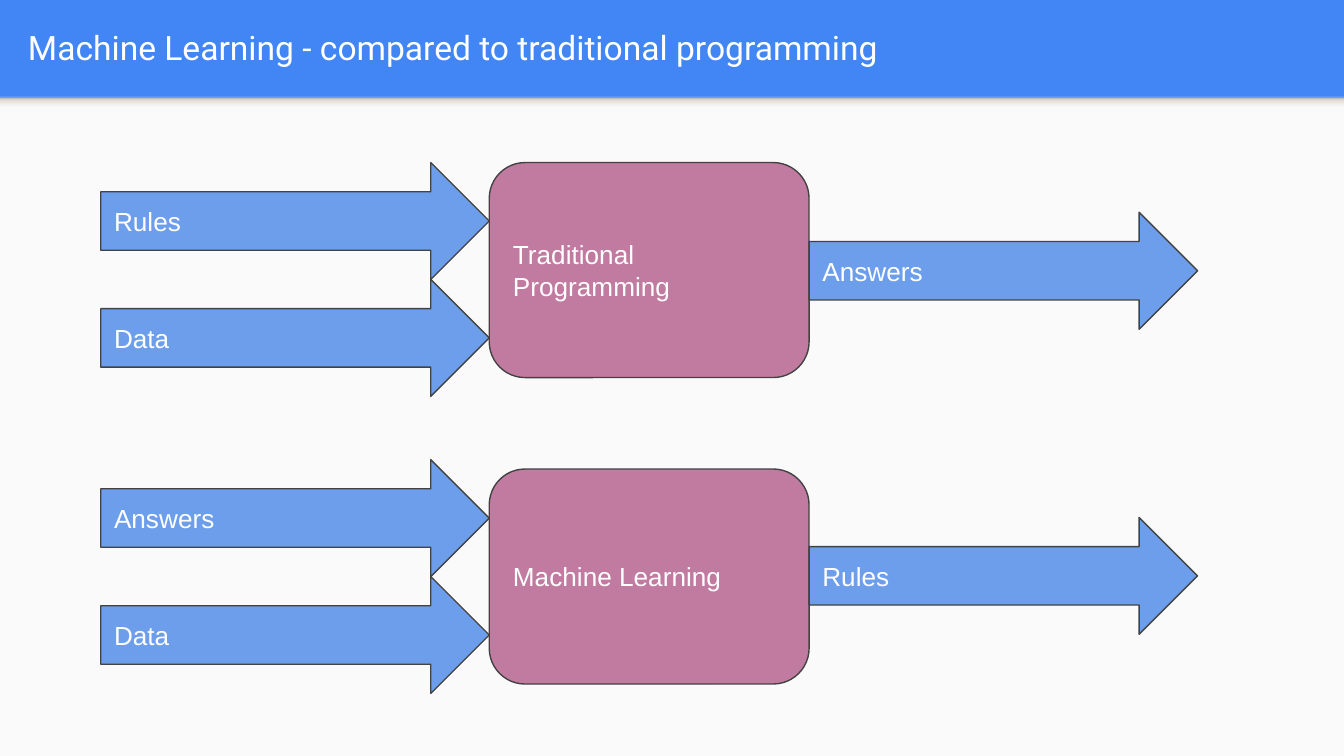
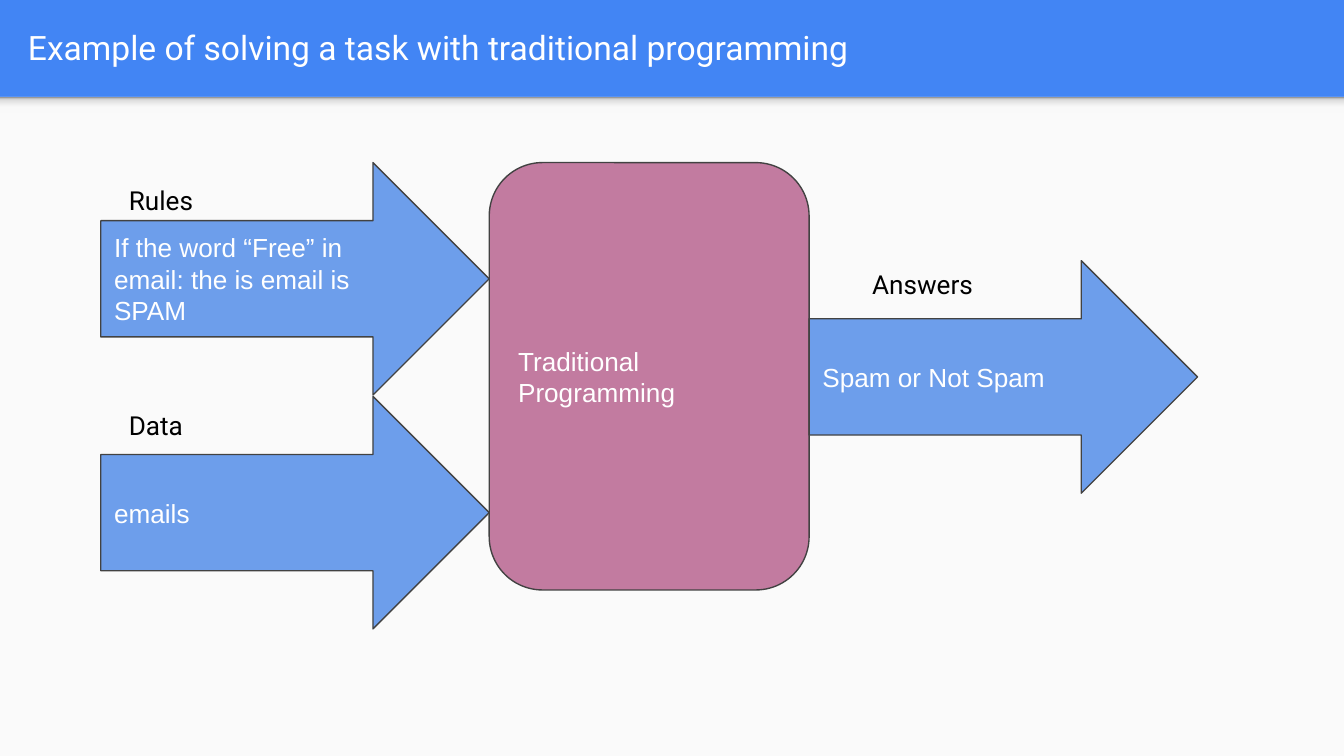
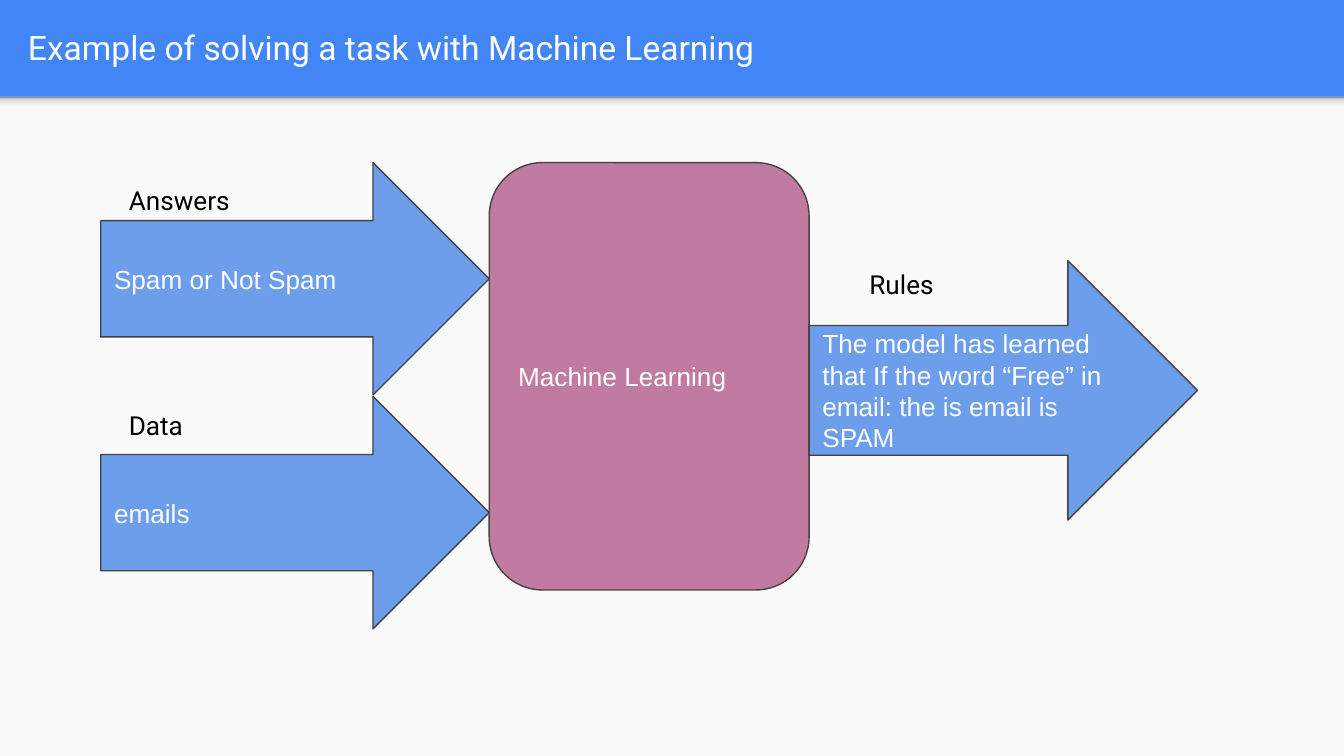
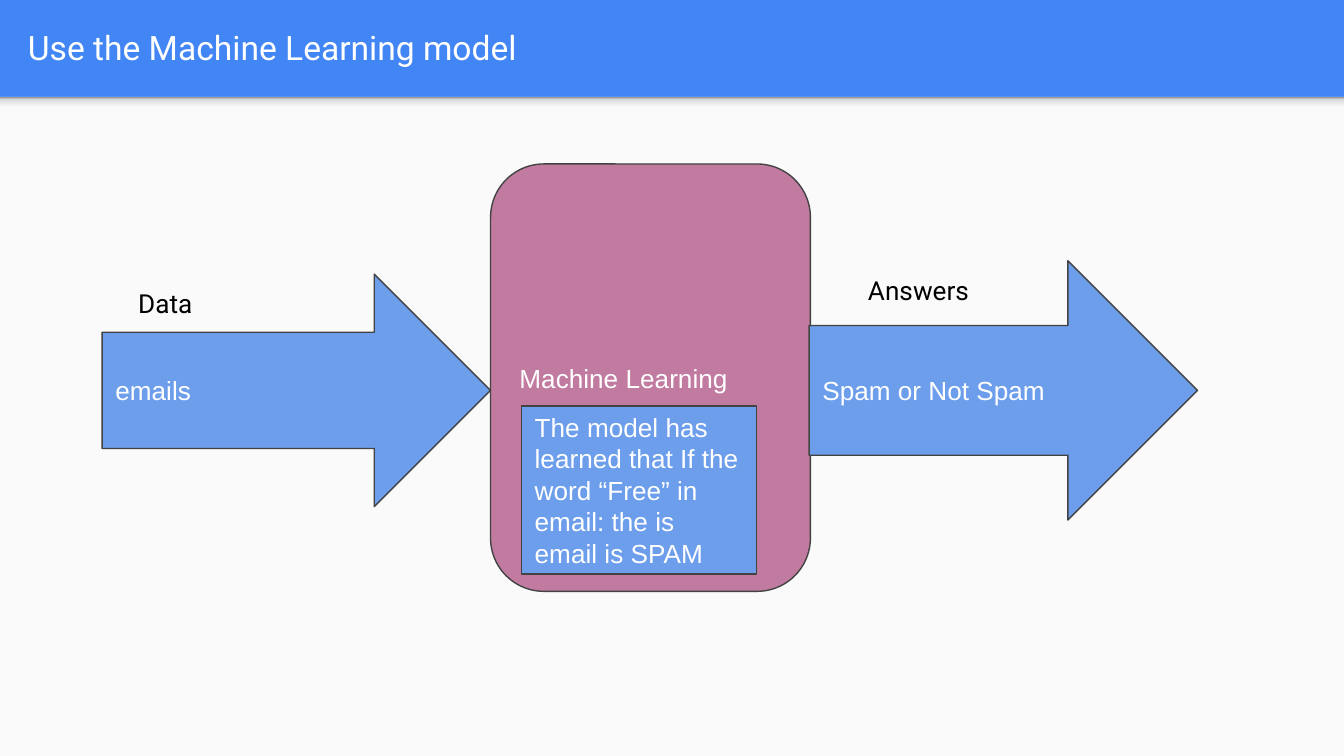
"""Build four slides comparing machine learning with traditional programming."""
from dataclasses import dataclass

from lxml.etree import SubElement
from pptx import Presentation
from pptx.dml.color import RGBColor
from pptx.enum.shapes import MSO_SHAPE
from pptx.enum.text import MSO_ANCHOR, PP_ALIGN
from pptx.oxml.ns import qn
from pptx.util import Inches, Pt


@dataclass(frozen=True)
class Theme:
    band: str = "4285F4"
    page: str = "FAFAFA"
    box: str = "C27BA0"
    arrow: str = "6D9EEB"
    edge: str = "424242"
    light: str = "FFFFFF"
    dark: str = "000000"
    fade: tuple = ((0, "F9F9F9"), (36, "F9F9F9"), (80, "DEDEDE"), (100, "999999"))
    head: str = "Roboto"
    body: str = "Arial"
    big: int = 18
    small: int = 14


theme = Theme()


def write(shape, text, font, size, ink, anchor=MSO_ANCHOR.MIDDLE):
    frame = shape.text_frame
    frame.word_wrap = True
    frame.vertical_anchor = anchor
    frame.margin_left = frame.margin_right = Inches(0.1)
    frame.margin_top = frame.margin_bottom = Inches(0.1)
    frame.text = text
    line = frame.paragraphs[0]
    line.alignment = PP_ALIGN.LEFT
    line.font.name = font
    line.font.size = Pt(size)
    line.font.color.rgb = RGBColor.from_string(ink)


def draw(slide, kind, place, fill, text=None):
    shape = slide.shapes.add_shape(kind, *map(Inches, place))
    shape.shadow.inherit = False
    shape.fill.solid()
    shape.fill.fore_color.rgb = RGBColor.from_string(fill)
    if text is None:
        shape.line.fill.background()
    else:
        shape.line.color.rgb = RGBColor.from_string(theme.edge)
        shape.line.width = Pt(0.75)
        write(shape, text, theme.body, theme.small, theme.light)
    return shape


left, mid, right = 0.75, 3.64, 6.02
span, wide = 2.89, 2.38
low, high, tall = 0.87, 1.73, 1.93
top = 1.21
rule = "If the word “Free” in email: the is email is SPAM"
model = f"The model has learned that {rule}"
old, new = "Traditional Programming", "Machine Learning"
guess = "Spam or Not Spam"

decks = [
    {
        "title": "Machine Learning - compared to traditional programming",
        "boxes": [(mid, top, 1.6, old), (mid, 3.49, 1.6, new)],
        "arrows": [
            (left, top, low, "Rules"),
            (left, top + low, low, "Data"),
            (left, 3.42, low, "Answers"),
            (left, 3.42 + low, low, "Data"),
            (right, 1.58, low, "Answers"),
            (right, 3.85, low, "Rules"),
        ],
        "labels": [],
    },
    {
        "title": "Example of solving a task with traditional programming",
        "boxes": [(mid, top, 3.18, old)],
        "arrows": [
            (left, top, high, rule),
            (left, 2.95, high, "emails"),
            (right, 1.94, high, guess),
        ],
        "labels": [(0.86, 1.27, "Rules"), (0.86, 2.95, "Data"), (6.39, 1.9, "Answers")],
    },
    {
        "title": "Example of solving a task with Machine Learning",
        "boxes": [(mid, top, 3.18, new)],
        "arrows": [
            (left, top, high, guess),
            (left, 2.95, high, "emails"),
            (right, 1.94, tall, model),
        ],
        "labels": [(0.86, 1.27, "Answers"), (0.86, 2.95, "Data"), (6.37, 1.9, "Rules")],
    },
    {
        "title": "Use the Machine Learning model",
        "boxes": [(3.65, 1.22, 3.18, new)],
        "arrows": [(0.76, 2.04, high, "emails"), (right, 1.94, tall, guess)],
        "labels": [(6.36, 1.94, "Answers"), (0.93, 2.04, "Data")],
        "note": model,
    },
]

prs = Presentation()
prs.slide_width = Inches(10)
prs.slide_height = prs.slide_width * 9 // 16
back = prs.slide_master.background.fill
back.solid()
back.fore_color.rgb = RGBColor.from_string(theme.band)

for deck in decks:
    slide = prs.slides.add_slide(prs.slide_layouts[6])
    draw(slide, MSO_SHAPE.RECTANGLE, (0, 0.72, 10, 4.91), theme.page)

    shade = draw(slide, MSO_SHAPE.RECTANGLE, (0, 0.72, 10, 0.12), theme.page)
    shade.fill.gradient()
    shade.fill.gradient_angle = 90
    stops = next(shade.element.iter(qn("a:gsLst")))
    stops.clear()
    for spot, tint in theme.fade:
        stop = SubElement(stops, qn("a:gs"), pos=str(spot * 1000))
        SubElement(stop, qn("a:srgbClr"), val=tint)

    title = slide.shapes.add_textbox(*map(Inches, (0.11, 0.02, 9.65, 0.66)))
    write(title, deck["title"], theme.head, theme.big, theme.light)

    for x, y, deep, text in deck["boxes"]:
        draw(slide, MSO_SHAPE.ROUNDED_RECTANGLE, (x, y, wide, deep), theme.box, text)
    for x, y, deep, text in deck["arrows"]:
        draw(slide, MSO_SHAPE.RIGHT_ARROW, (x, y, span, deep), theme.arrow, text)
    for x, y, text in deck["labels"]:
        label = slide.shapes.add_textbox(*map(Inches, (x, y, 1.12, 0.37)))
        write(label, text, theme.head, theme.small, theme.dark, MSO_ANCHOR.TOP)
    if "note" in deck:
        draw(slide, MSO_SHAPE.RECTANGLE, (3.88, 3.02, 1.75, 1.25), theme.arrow, deck["note"])

prs.save("out.pptx")
